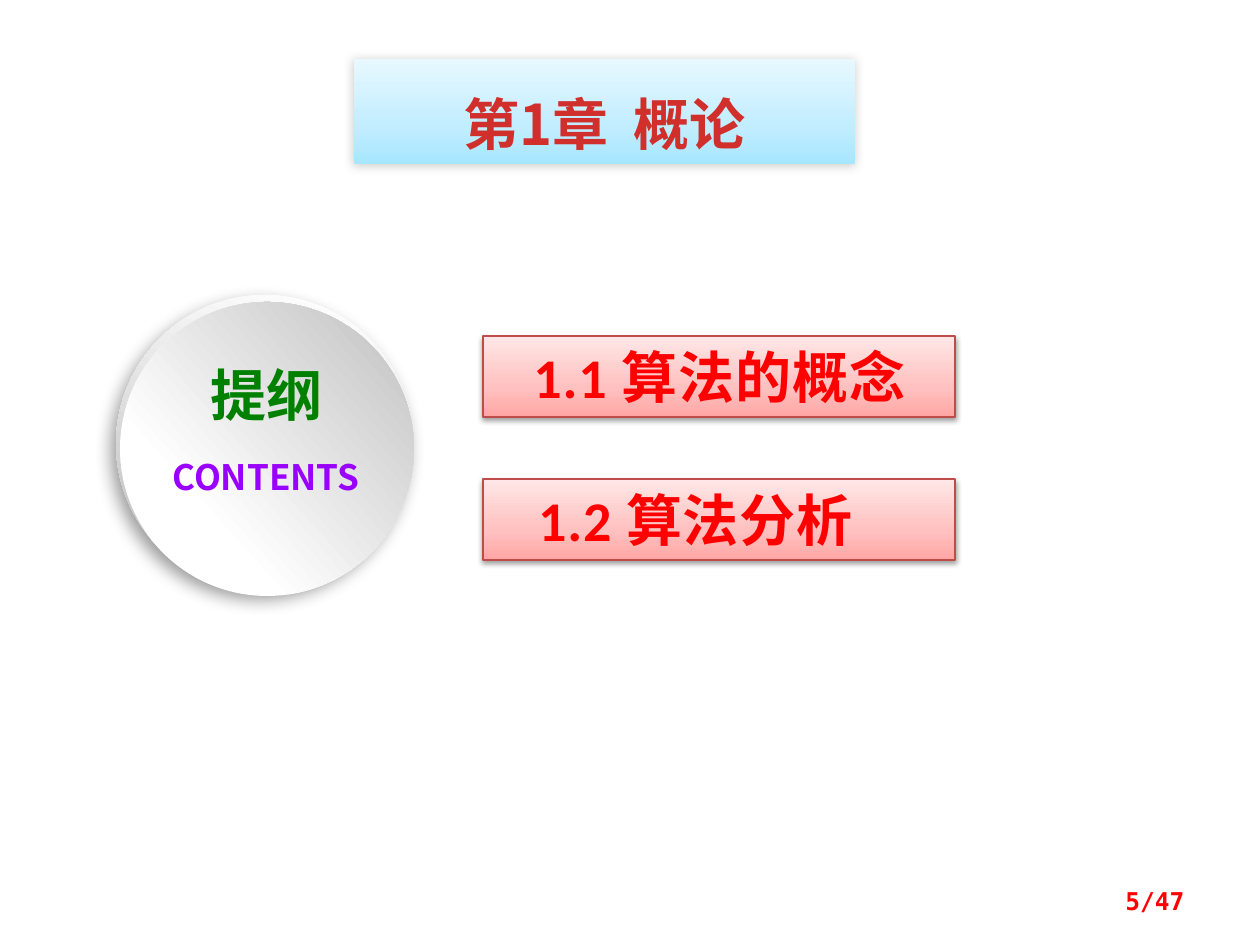
"""Builds the chapter 1 contents slide."""
import lxml.etree
import pptx
import pptx.dml.color
import pptx.enum.shapes
import pptx.enum.text
import pptx.oxml
import pptx.oxml.ns
import pptx.util

RGB = pptx.dml.color.RGBColor
SHAPE = pptx.enum.shapes.MSO_SHAPE
ALIGN = pptx.enum.text.PP_ALIGN
qn = pptx.oxml.ns.qn

EMU_PER_PX = 914400 / 126
CJK_FONT = "Noto Sans CJK SC"

WHITE = RGB(0xFF, 0xFF, 0xFF)
RED = RGB(0xFF, 0x00, 0x00)
GREEN = RGB(0x00, 0x80, 0x00)
VIOLET = RGB(0x99, 0x00, 0xFF)
TITLE_RED = RGB(0xD0, 0x2F, 0x2C)
SECTION_BORDER = RGB(0xBF, 0x4C, 0x48)
BLUE_STOPS = [(0, RGB(0xA7, 0xE6, 0xFF)), (35, RGB(0xC1, 0xED, 0xFF)),
              (100, RGB(0xE7, 0xF8, 0xFF))]
PINK_STOPS = [(0, RGB(0xFF, 0xA6, 0xA5)), (35, RGB(0xFF, 0xC0, 0xBF)),
              (100, RGB(0xFF, 0xE7, 0xE7))]
RIM_STOPS = [(17, WHITE), (88, RGB(0xB8, 0xB8, 0xB8))]
DISC_STOPS = [(29, WHITE), (98, RGB(0xBF, 0xBF, 0xBF))]


def px(length):
    return pptx.util.Emu(round(length * EMU_PER_PX))


def set_gradient(shape, stops, angle):
    shape.fill.gradient()
    gradient = shape._element.spPr.find(qn("a:gradFill"))
    for child in list(gradient):
        gradient.remove(child)
    gradient.set("rotWithShape", "1")
    stop_list = lxml.etree.SubElement(gradient, qn("a:gsLst"))
    for position, color in stops:
        stop = lxml.etree.SubElement(stop_list, qn("a:gs"), pos=str(position * 1000))
        lxml.etree.SubElement(stop, qn("a:srgbClr"), val=str(color))
    lxml.etree.SubElement(gradient, qn("a:lin"), ang=str(angle * 60000), scaled="0")


def set_shadow(shape, opacity, blur, distance, direction):
    effects = shape._element.spPr.find(qn("a:effectLst"))
    shadow = lxml.etree.SubElement(
        effects, qn("a:outerShdw"), blurRad=str(pptx.util.Pt(blur)),
        dist=str(pptx.util.Pt(distance)), dir=str(direction * 60000),
        algn="ctr", rotWithShape="0")
    color = lxml.etree.SubElement(shadow, qn("a:srgbClr"), val="000000")
    lxml.etree.SubElement(color, qn("a:alpha"), val=str(opacity * 1000))


def add_panel(slide, kind, box, stops, angle, shadow=None, border=None, rotation=0):
    panel = slide.shapes.add_shape(kind, *map(px, box))
    panel.rotation = rotation
    panel.shadow.inherit = False
    set_gradient(panel, stops, angle)
    if border is None:
        panel.line.fill.background()
    else:
        panel.line.color.rgb = border
        panel.line.width = pptx.util.Pt(0.75)
    if shadow:
        set_shadow(panel, *shadow)
    return panel


def write_text(shape, runs, size, font, color, align=ALIGN.CENTER):
    """Fill a shape with one bold line of (text, letter spacing in points) runs."""
    frame = shape.text_frame
    frame.word_wrap = True
    frame.vertical_anchor = pptx.enum.text.MSO_ANCHOR.MIDDLE
    paragraph = frame.paragraphs[0]
    paragraph.alignment = align
    for text, spacing in runs:
        run = paragraph.add_run()
        run.text = text
        run.font.size = pptx.util.Pt(size)
        run.font.bold = True
        run.font.color.rgb = color
        run.font.name = font
        properties = run.font._element
        lxml.etree.SubElement(properties, qn("a:ea"), typeface=CJK_FONT)
        if spacing:
            properties.set("spc", str(round(spacing * 100)))


def add_label(slide, box, text, size, font, color, align=ALIGN.CENTER):
    label = slide.shapes.add_textbox(*map(px, box))
    write_text(label, [(text, 0)], size, font, color, align)


def add_title(slide):
    title = add_panel(slide, SHAPE.RECTANGLE, (354, 59, 501, 105), BLUE_STOPS, 270,
                      shadow=(20, 6, 1, 135))
    title.text_frame.margin_top = px(30)
    write_text(title, [("第1章", 0), (" ", 7), ("概论", 0)], 32, CJK_FONT, TITLE_RED)


def add_sections(slide):
    sections = [("1.1 算法的概念", ALIGN.CENTER, 0), ("1.2 算法分析", ALIGN.LEFT, 42)]
    for row, (heading, align, indent) in enumerate(sections):
        section = add_panel(slide, SHAPE.RECTANGLE, (483, 336 + 143 * row, 472, 81),
                            PINK_STOPS, 270, shadow=(38, 3.1, 1.6, 90),
                            border=SECTION_BORDER)
        section.text_frame.margin_left = px(13 + indent)
        write_text(section, [(heading, 0.5)], 32, "Calibri", RED, align)


def add_contents_badge(slide):
    add_panel(slide, SHAPE.OVAL, (116, 295, 297, 297), RIM_STOPS, 45,
              shadow=(39, 10, 5, 123), rotation=62.3)
    add_panel(slide, SHAPE.OVAL, (120, 302, 294, 294), DISC_STOPS, 45, rotation=273)
    add_label(slide, (150, 449, 232, 55), "CONTENTS", 20, CJK_FONT, VIOLET)
    add_label(slide, (170, 354, 194, 81), "提纲", 32, CJK_FONT, GREEN)


def main():
    deck = pptx.Presentation()
    deck.slide_width, deck.slide_height = px(1260), px(945)
    slide = deck.slides.add_slide(deck.slide_layouts[6])
    add_title(slide)
    add_sections(slide)
    add_contents_badge(slide)
    add_label(slide, (903, 876, 294, 50), "5/47", 14, "DejaVu Sans Mono", RED,
              ALIGN.RIGHT)
    deck.save("out.pptx")


if __name__ == "__main__":
    main()
